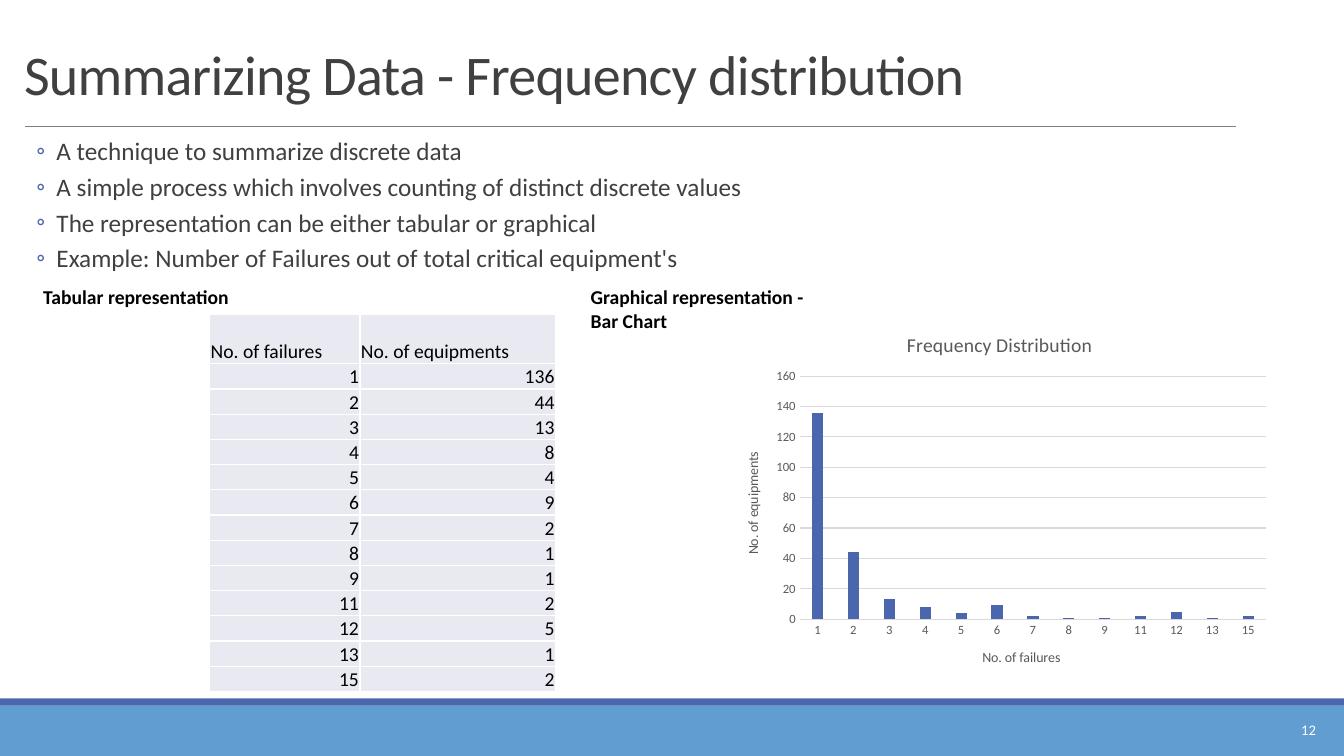
from lxml import etree
from pptx import Presentation
from pptx import util as u
from pptx.chart.data import CategoryChartData
from pptx.dml.color import RGBColor
from pptx.enum import chart as charts, shapes, text
from pptx.oxml import parse_xml
from pptx.oxml.ns import nsdecls, qn

TITLE = "Summarizing Data - Frequency distribution"
BULLETS = [
    "A technique to summarize discrete data",
    "A simple process which involves counting of distinct discrete values",
    "The representation can be either tabular or graphical",
    "Example: Number of Failures out of total critical equipment's",
]
CAPTIONS = [
    ("Tabular representation", (0.33, 2.78, 2.17, 0.34)),
    ("Graphical representation - Bar Chart", (5.76, 2.78, 2.45, 0.57)),
]
HEADINGS = ("No. of failures", "No. of equipments")
FREQUENCIES = {1: 136, 2: 44, 3: 13, 4: 8, 5: 4, 6: 9, 7: 2, 8: 1, 9: 1,
               11: 2, 12: 5, 13: 1, 15: 2}
CHART_TITLE = "Frequency Distribution"
PAGE_NUMBER = "12"
FONT = "Calibri"
COLORS = {
    "band": "629DD1", "accent": "4A66AC", "rule": "808080", "heading": "404040",
    "black": "000000", "white": "FFFFFF", "cell": "E9EAF1", "grid": "D9D9D9",
    "label": "595959",
}
WIDTH, HEIGHT = 13.33, 7.5
CONTENT_TOP, CONTENT_HEIGHT = 3.12, 3.71
COLUMN_WIDTHS = (1.49, 1.94)
HEADER_ROW, DATA_ROW = 0.49, 0.25
PLOT_SHARES = {"x": 0.14, "y": 0.165, "w": 0.84, "h": 0.65}


def color(name):
    return RGBColor.from_string(COLORS[name])


def box(*lengths):
    return [u.Inches(length) for length in lengths]


def style(font, size, name, bold=False):
    font.name, font.size, font.bold = FONT, u.Pt(size), bold
    font.color.rgb = color(name)


def add_text(slide, place, lines, size, name, bold=False,
             anchor=text.MSO_ANCHOR.TOP, align=text.PP_ALIGN.LEFT):
    frame = slide.shapes.add_textbox(*box(*place)).text_frame
    frame.word_wrap = True
    frame.vertical_anchor = anchor
    frame.text = "\n".join(lines)
    for paragraph in frame.paragraphs:
        paragraph.alignment = align
        style(paragraph.font, size, name, bold)
    return frame


def add_band(slide, top, height, name):
    shape = slide.shapes.add_shape(shapes.MSO_SHAPE.RECTANGLE, *box(0, top, WIDTH, height))
    shape.shadow.inherit = False
    shape.fill.solid()
    shape.fill.fore_color.rgb = color(name)
    shape.line.fill.background()


def add_frame(slide):
    add_band(slide, 7, 0.5, "band")
    add_band(slide, 6.93, 0.07, "accent")
    rule = slide.shapes.add_connector(shapes.MSO_CONNECTOR.STRAIGHT, *box(0.25, 1.25, 12.26, 1.25))
    rule.line.color.rgb = color("rule")
    rule.line.width = u.Pt(0.5)
    etree.SubElement(rule._element.spPr, qn("a:effectLst"))


def add_bullets(slide):
    frame = add_text(slide, (0.14, 1.33, 13.01, 1.42), BULLETS, 18, "heading")
    frame.margin_left = frame.margin_right = 0
    for paragraph in frame.paragraphs:
        paragraph.line_spacing = 0.9
        paragraph.space_before = paragraph.space_after = u.Pt(3)
        properties = paragraph._p.get_or_add_pPr()
        properties.set("marL", str(u.Inches(0.42)))
        properties.set("indent", str(u.Inches(-0.2)))
        bullet_color = etree.SubElement(properties, qn("a:buClr"))
        etree.SubElement(bullet_color, qn("a:srgbClr"), val=COLORS["accent"])
        etree.SubElement(properties, qn("a:buFont"), typeface=FONT)
        etree.SubElement(properties, qn("a:buChar"), char="◦")


def fill_cell(cell, value, align):
    cell.text = str(value)
    cell.margin_left = cell.margin_top = cell.margin_right = u.Inches(0.01)
    cell.margin_bottom = 0
    cell.vertical_anchor = text.MSO_ANCHOR.BOTTOM
    paragraph = cell.text_frame.paragraphs[0]
    paragraph.alignment = align
    style(paragraph.font, 14, "black")
    properties = cell._tc.get_or_add_tcPr()
    for side in "LRTB":
        border = etree.SubElement(properties, qn(f"a:ln{side}"), w=str(u.Pt(1)))
        fill = etree.SubElement(border, qn("a:solidFill"))
        etree.SubElement(fill, qn("a:srgbClr"), val=COLORS["white"])
    cell.fill.solid()
    cell.fill.fore_color.rgb = color("cell")


def add_frequency_table(slide):
    rows = [HEADINGS, *FREQUENCIES.items()]
    table = slide.shapes.add_table(
        len(rows), len(HEADINGS),
        *box(2.08, CONTENT_TOP, sum(COLUMN_WIDTHS), CONTENT_HEIGHT)).table
    table.first_row = table.horz_banding = False
    for column, width in zip(table.columns, COLUMN_WIDTHS):
        column.width = u.Inches(width)
    for index, values in enumerate(rows):
        table.rows[index].height = u.Inches(DATA_ROW if index else HEADER_ROW)
        align = text.PP_ALIGN.RIGHT if index else text.PP_ALIGN.LEFT
        for position, value in enumerate(values):
            fill_cell(table.cell(index, position), value, align)


def set_title(owner, words, size):
    frame = (owner.chart_title if hasattr(owner, "chart_title") else owner.axis_title).text_frame
    frame.text = words
    style(frame.paragraphs[0].font, size, "label")


def add_frequency_chart(slide):
    data = CategoryChartData()
    data.categories = [str(failures) for failures in FREQUENCIES]
    data.add_series("Series 1", list(FREQUENCIES.values()))
    chart = slide.shapes.add_chart(
        charts.XL_CHART_TYPE.COLUMN_CLUSTERED,
        *box(7.16, CONTENT_TOP, 5.51, CONTENT_HEIGHT), data).chart
    style(chart.font, 10, "black")
    chart.has_legend = False
    set_title(chart, CHART_TITLE, 14)

    plot = chart.plots[0]
    plot.gap_width, plot.overlap, plot.vary_by_categories = 219, -27, False
    bars = plot.series[0].format.fill
    bars.solid()
    bars.fore_color.rgb = color("accent")

    for axis, words in zip((chart.category_axis, chart.value_axis), HEADINGS):
        set_title(axis, words, 10)
        style(axis.tick_labels.font, 9, "label")
        axis.major_tick_mark = axis.minor_tick_mark = charts.XL_TICK_MARK.NONE
    chart.value_axis.format.line.fill.background()
    chart.value_axis.minimum_scale, chart.value_axis.maximum_scale = 0, 160
    chart.value_axis.major_unit = 20
    for line in (chart.category_axis.format.line, chart.value_axis.major_gridlines.format.line):
        line.color.rgb = color("grid")
        line.width = u.Pt(0.75)

    shares = "".join(f'<c:{key} val="{share}"/>' for key, share in PLOT_SHARES.items())
    layout = parse_xml(
        f'<c:layout {nsdecls("c")}><c:manualLayout><c:layoutTarget val="inner"/>'
        f'<c:xMode val="edge"/><c:yMode val="edge"/>{shares}</c:manualLayout></c:layout>')
    area = chart._chartSpace.chart.plotArea
    for old in area.findall(qn("c:layout")):
        area.remove(old)
    area.insert(0, layout)


def main():
    presentation = Presentation()
    presentation.slide_width, presentation.slide_height = box(WIDTH, HEIGHT)
    slide = presentation.slides.add_slide(presentation.slide_layouts[6])
    add_frame(slide)
    title = add_text(slide, (0.14, 0.17, 12.03, 0.94), [TITLE], 40, "heading",
                     anchor=text.MSO_ANCHOR.BOTTOM).paragraphs[0]
    title.line_spacing = 0.85
    title.runs[0]._r.get_or_add_rPr().set("spc", "-50")
    add_bullets(slide)
    add_text(slide, (11.72, 7.04, 1.43, 0.4), [PAGE_NUMBER], 10.5, "white",
             anchor=text.MSO_ANCHOR.MIDDLE, align=text.PP_ALIGN.RIGHT)
    for words, place in CAPTIONS:
        add_text(slide, place, [words], 14, "black", bold=True)
    add_frequency_table(slide)
    add_frequency_chart(slide)
    presentation.save("out.pptx")


if __name__ == "__main__":
    main()
